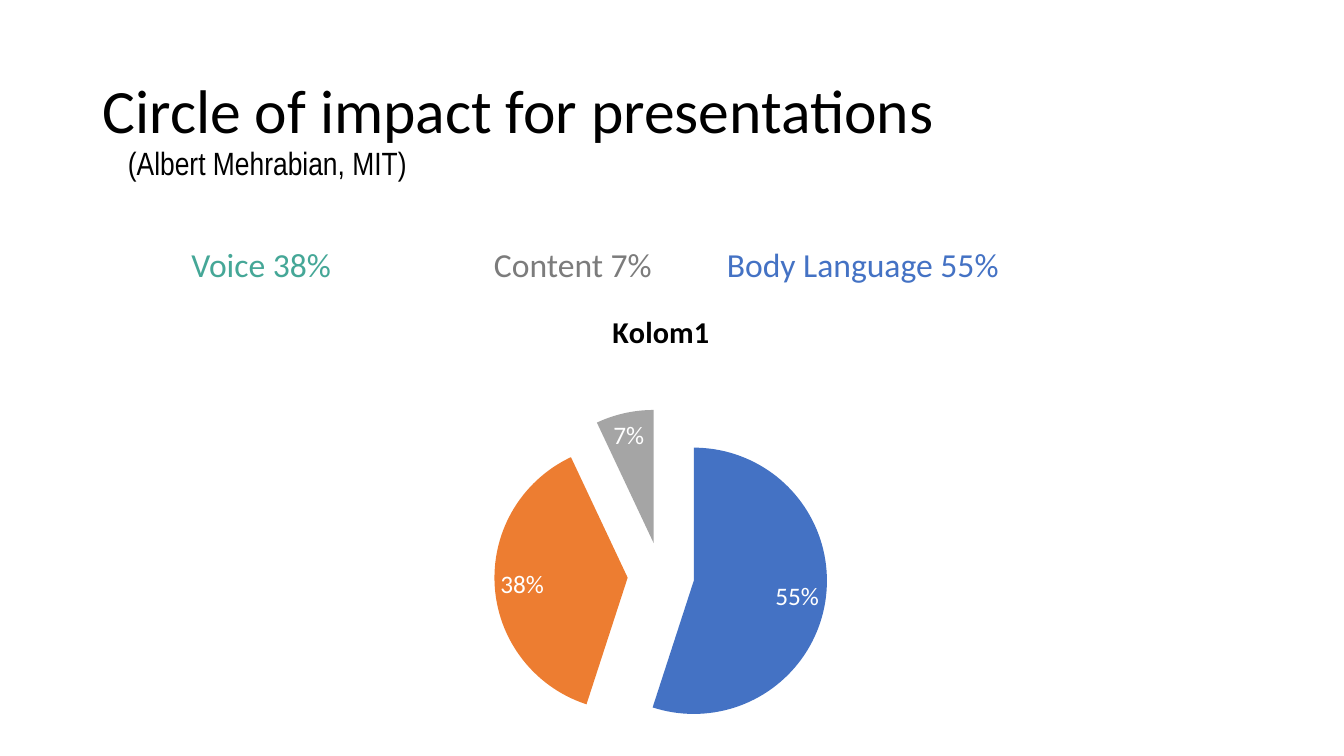
import pptx
import pptx.chart.data
import pptx.dml.color
import pptx.enum.chart
import pptx.enum.text
import pptx.oxml
import pptx.oxml.ns
import pptx.util

Inches = pptx.util.Inches
ANCHOR = pptx.enum.text.MSO_ANCHOR

COLORS = {
    "text": "000000",
    "voice": "45A797",
    "content": "7C7C7C",
    "body": "4472C4",
    "orange": "ED7D31",
    "gray": "A5A5A5",
    "label": "FFFFFF",
}


def color(name):
    return pptx.dml.color.RGBColor.from_string(COLORS[name])


def style_font(font, size, name="text", family="Calibri", bold=False):
    font.size = pptx.util.Pt(size)
    font.name = family
    font.bold = bold
    font.color.rgb = color(name)


def add_text(paragraph, text, **style):
    run = paragraph.add_run()
    run.text = text
    style_font(run.font, **style)


class SlideBuilder:
    def __init__(self, slide):
        self.slide = slide

    def text_box(self, box, anchor=ANCHOR.TOP, spacing=1.0, bottom=0.05):
        shape = self.slide.shapes.add_textbox(*map(Inches, box))
        frame = shape.text_frame
        frame.word_wrap = True
        frame.vertical_anchor = anchor
        frame.margin_bottom = Inches(bottom)
        paragraph = frame.paragraphs[0]
        paragraph.line_spacing = spacing
        return paragraph

    def tab_stops(self, paragraph, positions):
        properties = paragraph._p.get_or_add_pPr()
        tabs = pptx.oxml.parse_xml(f"<a:tabLst {pptx.oxml.ns.nsdecls('a')}/>")
        properties.append(tabs)
        for position in positions:
            tab = tabs.makeelement(pptx.oxml.ns.qn("a:tab"), {"pos": str(Inches(position)), "algn": "l"})
            tabs.append(tab)

    def pie(self, box, title, values, explosion):
        data = pptx.chart.data.CategoryChartData()
        data.categories = [str(number) for number in range(1, len(values) + 1)]
        data.add_series(title, [value for value, _ in values])
        chart = self.slide.shapes.add_chart(
            pptx.enum.chart.XL_CHART_TYPE.PIE, *map(Inches, box), data
        ).chart
        style_font(chart.font, 10, family="Arial")
        chart.has_legend = False
        chart.has_title = True
        add_text(chart.chart_title.text_frame.paragraphs[0], title, size=21.6, bold=True)

        plot = chart.plots[0]
        plot.vary_by_categories = True
        series = plot.series[0]
        series._element.find(pptx.oxml.ns.qn("c:tx")).addnext(
            pptx.oxml.parse_xml(f'<c:explosion {pptx.oxml.ns.nsdecls("c")} val="{explosion}"/>')
        )
        for index, (_, name) in enumerate(values):
            fill = series.points[index].format.fill
            fill.solid()
            fill.fore_color.rgb = color(name)

        labels = series.data_labels
        labels.show_value = False
        labels.show_percentage = True
        labels.number_format = "0%"
        labels.number_format_is_linked = False
        labels.position = pptx.enum.chart.XL_LABEL_POSITION.BEST_FIT
        style_font(labels.font, 18, "label")


def main():
    presentation = pptx.Presentation()
    presentation.slide_width = Inches(13.33)
    presentation.slide_height = Inches(7.5)
    builder = SlideBuilder(presentation.slides.add_slide(presentation.slide_layouts[6]))

    # Title and source
    title = builder.text_box((0.92, 0.4, 11.5, 1.45), ANCHOR.MIDDLE, 0.9)
    add_text(title, "Circle of impact for presentations", size=44)
    source = builder.text_box((1.17, 0.66, 11.25, 1.34), ANCHOR.BOTTOM, 0.9, bottom=0.19)
    add_text(source, "(Albert Mehrabian, MIT)", size=23, family="Arial Narrow")

    # Pie chart
    builder.pie((2.54, 2.88, 8.03, 4.62), "Kolom1", [(55, "body"), (38, "orange"), (7, "gray")], 25)

    # Shares in words
    shares = builder.text_box((1.8, 2.37, 9.09, 0.91))
    builder.tab_stops(shares, (3, 5.31))
    add_text(shares, "Voice 38%\t", size=24, name="voice")
    add_text(shares, "Content 7%\t", size=24, name="content")
    add_text(shares, "Body Language 55%", size=24, name="body")

    presentation.save("out.pptx")


if __name__ == "__main__":
    main()
